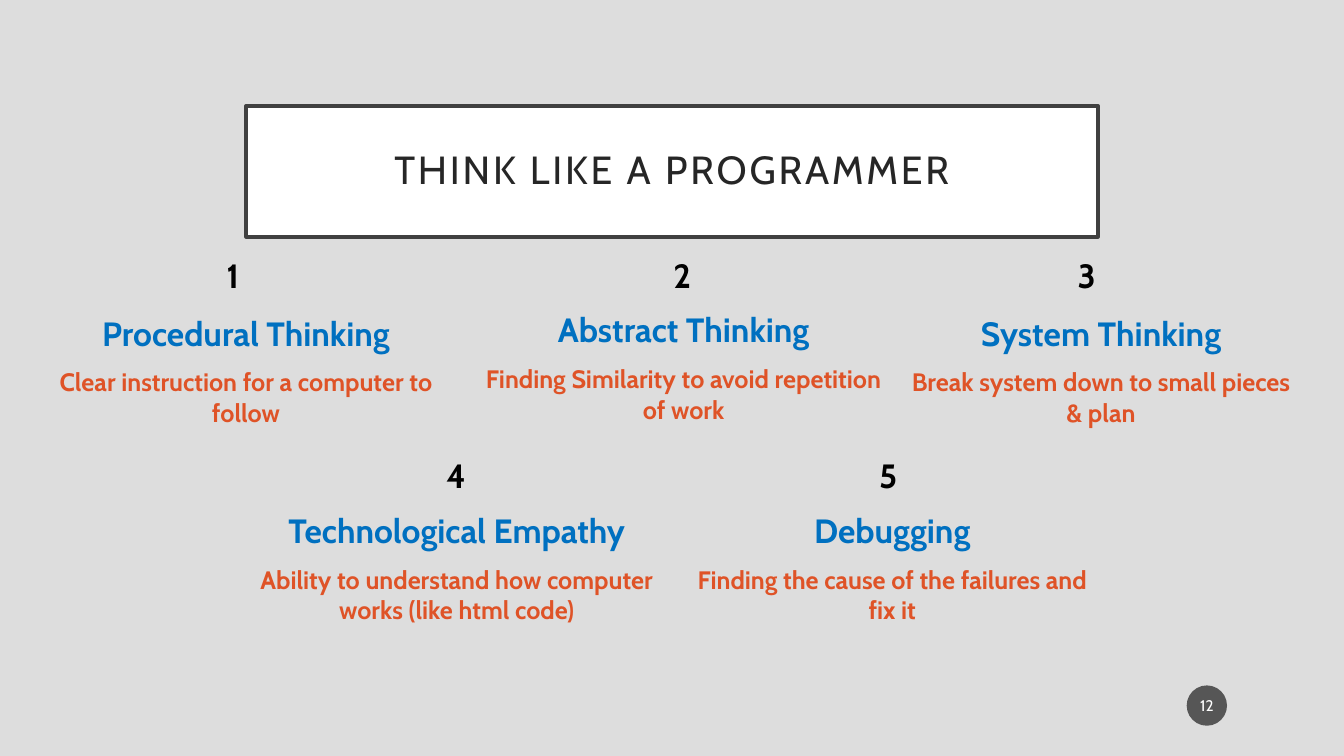
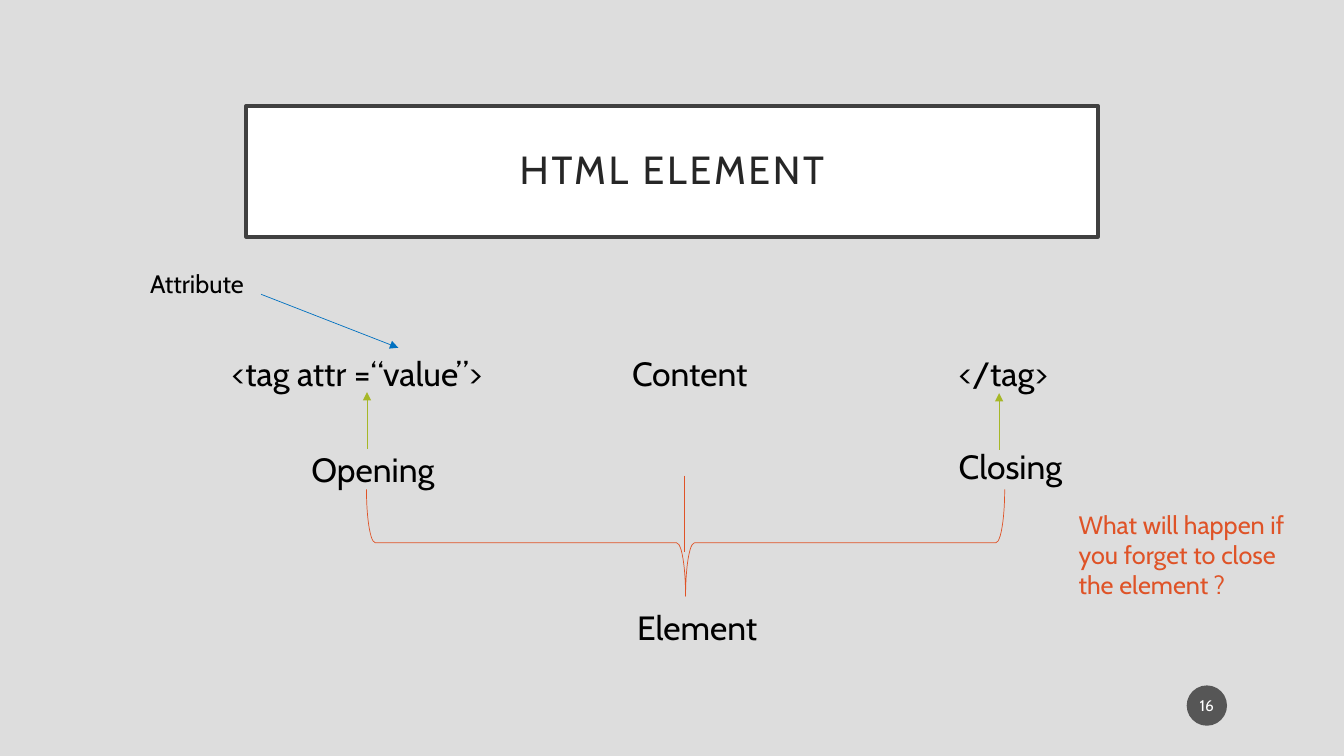
from dataclasses import dataclass

from lxml import etree
from pptx import Presentation
from pptx.dml.color import RGBColor
from pptx.enum.shapes import MSO_CONNECTOR, MSO_SHAPE
from pptx.enum.text import MSO_ANCHOR, MSO_AUTO_SIZE, PP_ALIGN
from pptx.oxml.ns import qn
from pptx.util import Inches, Pt

CENTER, LEFT = PP_ALIGN.CENTER, PP_ALIGN.LEFT
MIDDLE = MSO_ANCHOR.MIDDLE
FIT_SHAPE, NO_FIT = MSO_AUTO_SIZE.SHAPE_TO_FIT_TEXT, MSO_AUTO_SIZE.NONE
STRAIGHT = MSO_CONNECTOR.STRAIGHT
OVAL, LEFT_BRACE = MSO_SHAPE.OVAL, MSO_SHAPE.LEFT_BRACE


@dataclass(frozen=True)
class Theme:
    font: str = "Cabin"
    background: RGBColor = RGBColor(0xDD, 0xDD, 0xDD)
    white: RGBColor = RGBColor(0xFF, 0xFF, 0xFF)
    black: RGBColor = RGBColor(0, 0, 0)
    title_text: RGBColor = RGBColor(0x26, 0x26, 0x26)
    title_frame: RGBColor = RGBColor(0x40, 0x40, 0x40)
    badge: RGBColor = RGBColor(0x1D, 0x1D, 0x1D)
    blue: RGBColor = RGBColor(0x00, 0x70, 0xC0)
    orange: RGBColor = RGBColor(0xDF, 0x53, 0x27)
    green: RGBColor = RGBColor(0xA6, 0xB7, 0x27)
    title_size: Pt = Pt(28)
    large: Pt = Pt(24)
    small: Pt = Pt(18)
    badge_size: Pt = Pt(11)
    thin: Pt = Pt(0.5)
    frame: Pt = Pt(2.5)


THEME = Theme()


def style_paragraph(para, size, color, align=LEFT, bold=False):
    para.alignment = align
    para.font.name = THEME.font
    para.font.size = size
    para.font.color.rgb = color
    para.font.bold = bold


def add_text(page, left, top, width, height, lines, align=LEFT, bold=False, space=0):
    """Add a text box; each line is a (text, size, color) tuple."""
    box = page.shapes.add_textbox(Inches(left), Inches(top), Inches(width), Inches(height))
    frame = box.text_frame
    frame.word_wrap = True
    frame.auto_size = FIT_SHAPE
    frame.text = "\n".join(text for text, _, _ in lines)
    for para, (_, size, color) in zip(frame.paragraphs, lines):
        style_paragraph(para, size, color, align, bold)
        para.space_before = Pt(space)


deck = Presentation()
deck.slide_width, deck.slide_height = Inches(13.33), Inches(7.5)
master_fill = deck.slide_master.background.fill
master_fill.solid()
master_fill.fore_color.rgb = THEME.background

# Title frame and number badge, shared by both slides
pages = []
for title_text, number in (("THINK LIKE A PROGRAMMER", "12"), ("HTML ELEMENT", "16")):
    page = deck.slides.add_slide(deck.slide_layouts[5])
    pages.append(page)

    title = page.shapes.title
    title.left, title.top = Inches(2.44), Inches(1.05)
    title.width, title.height = Inches(8.45), Inches(1.3)
    title.fill.solid()
    title.fill.fore_color.rgb = THEME.white
    title.line.color.rgb = THEME.title_frame
    title.line.width = THEME.frame
    frame = title.text_frame
    frame.text = title_text
    frame.vertical_anchor = MIDDLE
    frame.auto_size = NO_FIT
    frame.margin_left = frame.margin_right = Inches(0.2)
    frame.margin_top = frame.margin_bottom = Inches(0.2)
    para = frame.paragraphs[0]
    style_paragraph(para, THEME.title_size, THEME.title_text, CENTER)
    para.line_spacing = 0.9
    para.runs[0]._r.get_or_add_rPr().set("spc", "200")

    badge = page.shapes.add_shape(OVAL, Inches(11.77), Inches(6.8), Inches(0.4), Inches(0.4))
    badge.shadow.inherit = False
    badge.fill.solid()
    badge.fill.fore_color.rgb = THEME.badge
    badge_color = badge._element.spPr.find(".//" + qn("a:srgbClr"))
    etree.SubElement(badge_color, qn("a:alpha"), val="70000")
    badge.line.fill.background()
    frame = badge.text_frame
    frame.text = number
    frame.vertical_anchor = MIDDLE
    frame.margin_left = frame.margin_right = Inches(0.02)
    style_paragraph(frame.paragraphs[0], THEME.badge_size, THEME.white, CENTER)

thinking_page, element_page = pages

# Five ways of thinking: number left and top, card left and top, heading, detail
skills = (
    (2.15, 2.48, 0.37, 3.05, "Procedural Thinking", "Clear instruction for a computer to follow"),
    (6.58, 2.48, 4.71, 3.02, "Abstract Thinking", "Finding Similarity to avoid repetition of work"),
    (10.59, 2.48, 8.85, 3.05, "System Thinking", "Break system down to small pieces & plan"),
    (4.33, 4.46, 2.46, 5.01, "Technological Empathy",
     "Ability to understand how computer works (like html code)"),
    (8.62, 4.46, 6.78, 5.01, "Debugging", "Finding the cause of the failures and fix it"),
)
for number, skill in enumerate(skills, start=1):
    number_left, number_top, card_left, card_top, heading, detail = skill
    card_lines = [(heading, THEME.large, THEME.blue), (detail, THEME.small, THEME.orange)]
    add_text(thinking_page, card_left, card_top, 4.14, 1.25, card_lines, CENTER, True, space=10)
    number_lines = [(str(number), THEME.large, THEME.black)]
    add_text(thinking_page, number_left, number_top, 1.38, 0.5, number_lines, bold=True)

# Parts of an HTML element
labels = (
    (2.2, 3.45, 2.89, 0.5, "<tag attr =“value”>", THEME.large, THEME.black),
    (9.41, 3.45, 2.09, 0.5, "</tag>", THEME.large, THEME.black),
    (6.17, 3.45, 2.89, 0.5, "Content", THEME.large, THEME.black),
    (6.22, 5.97, 2.09, 0.5, "Element", THEME.large, THEME.black),
    (9.41, 4.37, 2.09, 0.5, "Closing", THEME.large, THEME.black),
    (2.99, 4.4, 2.09, 0.5, "Opening", THEME.large, THEME.black),
    (1.39, 2.61, 1.62, 0.4, "Attribute", THEME.small, THEME.black),
    (10.6, 5, 2.33, 1.01, "What will happen if you forget to close the element ?",
     THEME.small, THEME.orange),
)
for left, top, width, height, text, size, color in labels:
    add_text(element_page, left, top, width, height, [(text, size, color)])

brace = element_page.shapes.add_shape(
    LEFT_BRACE, Inches(6.27), Inches(2.22), Inches(1.06), Inches(6.33))
brace.rotation = 270
brace.shadow.inherit = False
brace.fill.background()
brace.line.color.rgb = THEME.orange
brace.line.width = THEME.thin

pointers = (
    (3.64, 4.45, 3.64, 3.89, THEME.green, True),
    (9.91, 4.46, 9.91, 3.9, THEME.green, True),
    (2.59, 2.92, 3.95, 3.45, THEME.blue, True),
    (6.79, 4.72, 6.79, 5.48, THEME.orange, False),
)
for start_x, start_y, end_x, end_y, color, has_arrow in pointers:
    pointer = element_page.shapes.add_connector(
        STRAIGHT, Inches(start_x), Inches(start_y), Inches(end_x), Inches(end_y))
    pointer.line.color.rgb = color
    pointer.line.width = THEME.thin
    properties = pointer._element.spPr
    if has_arrow:
        etree.SubElement(properties.find(qn("a:ln")), qn("a:tailEnd"), type="triangle")
    etree.SubElement(properties, qn("a:effectLst"))

deck.save("out.pptx")
